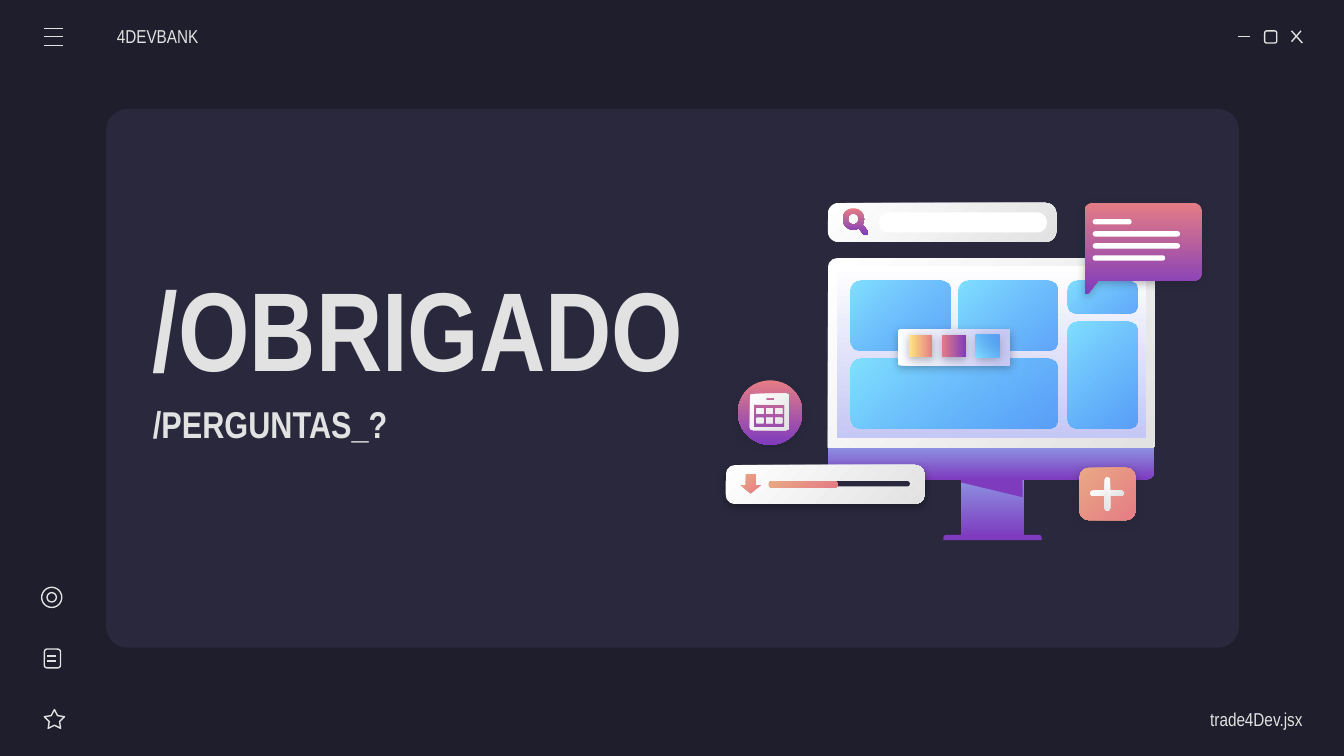
from dataclasses import dataclass
from math import cos, radians, sin
from typing import Optional, Union

from lxml.etree import SubElement
from pptx import Presentation
from pptx.dml.color import RGBColor
from pptx.enum.shapes import MSO_CONNECTOR, MSO_SHAPE
from pptx.enum.text import MSO_ANCHOR, PP_ALIGN
from pptx.oxml.ns import qn
from pptx.util import Inches, Pt

Point = tuple[float, float]


@dataclass(frozen=True)
class Gradient:
    """Two-colour blend; the angle runs clockwise in degrees."""
    start: str
    end: str
    angle: int
    end_opacity: int = 100


Paint = Union[str, Gradient]


@dataclass(frozen=True)
class Block:
    """Filled shape; the radius is its corner size in inches."""
    left: float
    top: float
    width: float
    height: float
    paint: Paint
    radius: float = 0
    shadow: Optional[str] = None
    kind: MSO_SHAPE = MSO_SHAPE.ROUNDED_RECTANGLE


@dataclass(frozen=True)
class Label:
    text: str
    left: float
    top: float
    width: float
    height: float
    size: int
    bold: bool = False
    align: PP_ALIGN = PP_ALIGN.LEFT
    inset_left: float = 0.1
    inset_right: float = 0.1


LIGHT, WHITE, NIGHT, PANEL, PURPLE = "E2E2E2", "FFFFFF", "1E1E2C", "29283D", "7E3BBE"
SILVER = Gradient(WHITE, LIGHT, 45)
VIOLET = Gradient("8D90E1", PURPLE, 90)
SUNSET = Gradient("E57C85", PURPLE, 90)
PEACH = Gradient("E9A984", "E57C85", 45)
SKY = Gradient("80DFFF", "318FFA", 45, 72)
SKY_UP = Gradient("80DFFF", "318FFA", 315, 72)

LABELS = [
    Label("trade4Dev.jsx", 8.52, 5.2, 1.17, 0.3, 10, align=PP_ALIGN.RIGHT, inset_right=0),
    Label("4DEVBANK", 0.87, 0.12, 1.17, 0.3, 10, inset_left=0),
    Label("/OBRIGADO", 1.04, 1.96, 4.24, 0.94, 60, bold=True),
    Label("/PERGUNTAS_?", 1.04, 2.9, 4.24, 0.5, 20, bold=True),
]
ICON_LINES = [
    (9.21, 0.27, 9.3, 0.27), (9.61, 0.23, 9.69, 0.32), (9.68, 0.23, 9.61, 0.31),
    *[(0.33, y, 0.47, y) for y in (0.21, 0.34, 0.27)],
    *[(0.35, y, 0.42, y) for y in (4.88, 4.92)],
]
ICON_OUTLINES = [
    (MSO_SHAPE.ROUNDED_RECTANGLE, 9.41, 0.23, 0.09, 0.09, 0.167),
    (MSO_SHAPE.STAR_5_POINT, 0.33, 5.28, 0.15, 0.14, 0.254),
    (MSO_SHAPE.ROUNDED_RECTANGLE, 0.33, 4.83, 0.12, 0.14, 0.167),
    (MSO_SHAPE.OVAL, 0.31, 4.37, 0.15, 0.15, None),
    (MSO_SHAPE.OVAL, 0.35, 4.41, 0.07, 0.07, None),
]
TILES = [(6.33, 2.09, 0.74, 0.52), (6.33, 2.67, 1.54, 0.52), (7.13, 2.09, 0.74, 0.52),
         (7.94, 2.09, 0.52, 0.24), (7.94, 2.39, 0.52, 0.8)]
MONITOR = [
    Block(6.16, 1.92, 2.43, 1.41, SILVER, 0.07, kind=MSO_SHAPE.ROUND_2_SAME_RECTANGLE),
    Block(6.23, 1.98, 2.3, 1.28, Gradient(WHITE, "C5C7F4", 90)),
    Block(7.15, 3.57, 0.47, 0.43, VIOLET),
    Block(7.02, 3.98, 0.73, 0.04, PURPLE, 0.02, kind=MSO_SHAPE.ROUND_2_SAME_RECTANGLE),
    *[Block(*tile, SKY, 0.07) for tile in TILES],
]
MESSAGE_LINES = [Block(8.13, 1.63 + 0.09 * row, width, 0.04, WHITE, 0.02)
                 for row, width in enumerate((0.29, 0.65, 0.65, 0.54))]
SWATCHES = [Gradient("FFEA7D", "E57C85", 0), Gradient("E57C85", PURPLE, 0), SKY_UP]
WIDGETS = [
    Block(5.4, 3.46, 1.48, 0.29, SILVER, 0.07, "000000"),
    Block(5.72, 3.58, 1.05, 0.04, PANEL, 0.02),
    Block(5.72, 3.58, 0.51, 0.05, PEACH, 0.02),
    Block(8.03, 3.48, 0.42, 0.39, PEACH, 0.07, NIGHT),
    Block(8.11, 3.65, 0.25, 0.04, SILVER, 0.02),
    Block(8.22, 3.55, 0.04, 0.25, Gradient(WHITE, LIGHT, 135), 0.02),
    Block(6.68, 2.45, 0.84, 0.27, Gradient(WHITE, "C5C7F4", 0), 0.02, NIGHT),
    *[Block(6.76 + 0.25 * column, 2.49, 0.18, 0.17, paint, 0.01, NIGHT)
      for column, paint in enumerate(SWATCHES)],
    Block(6.16, 1.51, 1.7, 0.29, SILVER, 0.08),
    Block(6.54, 1.58, 1.25, 0.15, WHITE, 0.07),
    Block(5.49, 2.83, 0.48, 0.48, SUNSET, shadow=NIGHT, kind=MSO_SHAPE.OVAL),
]


def colour(value: str) -> RGBColor:
    return RGBColor.from_string(value)


def paint_shape(shape, paint: Paint, shadow: Optional[str] = None) -> None:
    if isinstance(paint, Gradient):
        shape.fill.gradient()
        shape.fill.gradient_angle = (360 - paint.angle) % 360
        first, last = shape.fill.gradient_stops
        first.position, last.position = 0, 1
        first.color.rgb, last.color.rgb = colour(paint.start), colour(paint.end)
        if paint.end_opacity < 100:
            end = list(shape._element.spPr.iter(qn("a:srgbClr")))[-1]
            SubElement(end, qn("a:alpha"), val=str(paint.end_opacity * 1000))
    else:
        shape.fill.solid()
        shape.fill.fore_color.rgb = colour(paint)
    shape.line.fill.background()
    shape.shadow.inherit = False
    if shadow:
        effects = shape._element.spPr.find(qn("a:effectLst"))
        outer = SubElement(effects, qn("a:outerShdw"), blurRad=str(Pt(4.5)),
                           dist=str(Pt(1.5)), dir="5400000", algn="bl", rotWithShape="0")
        shade = SubElement(outer, qn("a:srgbClr"), val=shadow)
        SubElement(shade, qn("a:alpha"), val="30000")


def add_preset(page, kind: MSO_SHAPE, left: float, top: float, width: float, height: float):
    return page.shapes.add_shape(kind, Inches(left), Inches(top), Inches(width), Inches(height))


def add_block(page, block: Block):
    shape = add_preset(page, block.kind, block.left, block.top, block.width, block.height)
    if block.kind != MSO_SHAPE.OVAL:
        shape.adjustments[0] = min(0.5, block.radius / min(block.width, block.height))
    paint_shape(shape, block.paint, block.shadow)
    return shape


def add_outline(page, contours: list[list[Point]], paint: Paint, shadow: Optional[str] = None) -> None:
    """Draw one freeform; inner contours become holes."""
    scaled = [[(Inches(x), Inches(y)) for x, y in contour] for contour in contours]
    builder = page.shapes.build_freeform(*scaled[0][0])
    builder.add_line_segments(scaled[0][1:])
    for contour in scaled[1:]:
        builder.move_to(*contour[0])
        builder.add_line_segments(contour[1:])
    paint_shape(builder.convert_to_shape(), paint, shadow)


def arc(x: float, y: float, radius: float, start: int, end: int) -> list[Point]:
    angles = [radians(start + (end - start) * step / 24) for step in range(25)]
    return [(x + radius * cos(angle), y + radius * sin(angle)) for angle in angles]


def rectangle(left: float, top: float, right: float, bottom: float) -> list[Point]:
    return [(left, top), (right, top), (right, bottom), (left, bottom)]


def add_icons(page) -> None:
    for x1, y1, x2, y2 in ICON_LINES:
        line = page.shapes.add_connector(MSO_CONNECTOR.STRAIGHT, Inches(x1), Inches(y1), Inches(x2), Inches(y2))
        line.line.color.rgb, line.line.width = colour(LIGHT), Pt(0.75)
        SubElement(line._element.spPr, qn("a:effectLst"))
    for kind, left, top, width, height, adjustment in ICON_OUTLINES:
        icon = add_preset(page, kind, left, top, width, height)
        if adjustment:
            icon.adjustments[0] = adjustment
        icon.fill.background()
        icon.line.color.rgb, icon.line.width = colour(LIGHT), Pt(0.75)
        icon.shadow.inherit = False


def add_label(page, label: Label) -> None:
    box = page.shapes.add_textbox(Inches(label.left), Inches(label.top), Inches(label.width), Inches(label.height))
    frame = box.text_frame
    frame.word_wrap, frame.vertical_anchor = True, MSO_ANCHOR.MIDDLE
    frame.margin_left, frame.margin_right = Inches(label.inset_left), Inches(label.inset_right)
    frame.margin_top = frame.margin_bottom = Inches(0.1)
    para = frame.paragraphs[0]
    para.alignment = label.align
    span = para.add_run()
    span.text = label.text
    span.font.name, span.font.size, span.font.bold = "Arial Narrow", Pt(label.size), label.bold
    span.font.color.rgb = colour(LIGHT)


def add_illustration(page) -> None:
    chin = add_block(page, Block(6.16, 3.33, 2.43, 0.24, VIOLET, kind=MSO_SHAPE.ROUND_2_SAME_RECTANGLE))
    chin.adjustments[1] = 0.28
    for block in MONITOR:
        add_block(page, block)
    add_outline(page, [[(7.15, 3.56), (7.15, 3.59), (7.61, 3.7), (7.61, 3.56)]], PURPLE)
    bubble = [*arc(8.13, 1.57, 0.06, 180, 270), *arc(8.88, 1.57, 0.06, 270, 360),
              *arc(8.88, 2.03, 0.06, 0, 90), (8.17, 2.09), (8.1, 2.18), (8.08, 2.19), (8.07, 2.18)]
    add_outline(page, [bubble], SUNSET, NIGHT)
    for block in MESSAGE_LINES + WIDGETS:
        add_block(page, block)
    arrow = add_preset(page, MSO_SHAPE.DOWN_ARROW, 5.51, 3.53, 0.15, 0.14)
    arrow.adjustments[0], arrow.adjustments[1] = 0.47, 0.43
    paint_shape(arrow, PEACH)
    magnifier = [*arc(6.35, 1.63, 0.08, 60, 390), *arc(6.44, 1.73, 0.02, -45, 135)]
    add_outline(page, [magnifier, arc(6.35, 1.63, 0.04, 360, 0)], SUNSET)
    days = [rectangle(x, y, x + 0.05, y + 0.04) for y in (3.04, 3.11) for x in (5.63, 5.7, 5.77)]
    sheet = [*arc(5.6, 2.95, 0.02, 180, 270), *arc(5.85, 2.95, 0.02, 270, 360),
             *arc(5.85, 3.18, 0.02, 0, 90), *arc(5.6, 3.18, 0.02, 90, 180)]
    add_outline(page, [sheet, rectangle(5.7, 2.96, 5.76, 2.98), rectangle(5.61, 3.01, 5.84, 3.18), *days], SILVER)


def main() -> None:
    deck = Presentation()
    deck.slide_width, deck.slide_height = Inches(10), Inches(10 * 9 / 16)
    page = deck.slides.add_slide(deck.slide_layouts[6])
    page.background.fill.solid()
    page.background.fill.fore_color.rgb = colour(NIGHT)
    add_block(page, Block(0.79, 0.81, 8.43, 4.01, PANEL, 0.16))
    add_icons(page)
    for label in LABELS:
        add_label(page, label)
    add_illustration(page)
    deck.save("out.pptx")


if __name__ == "__main__":
    main()
